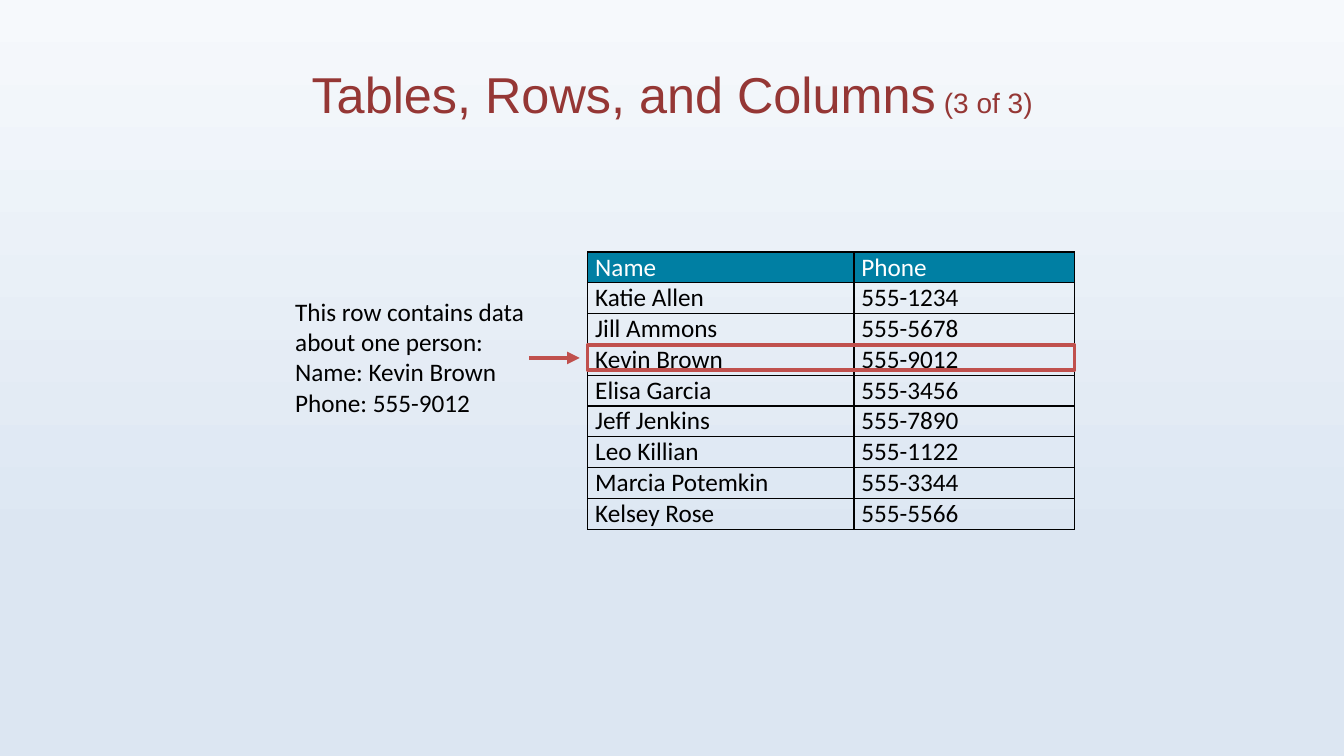
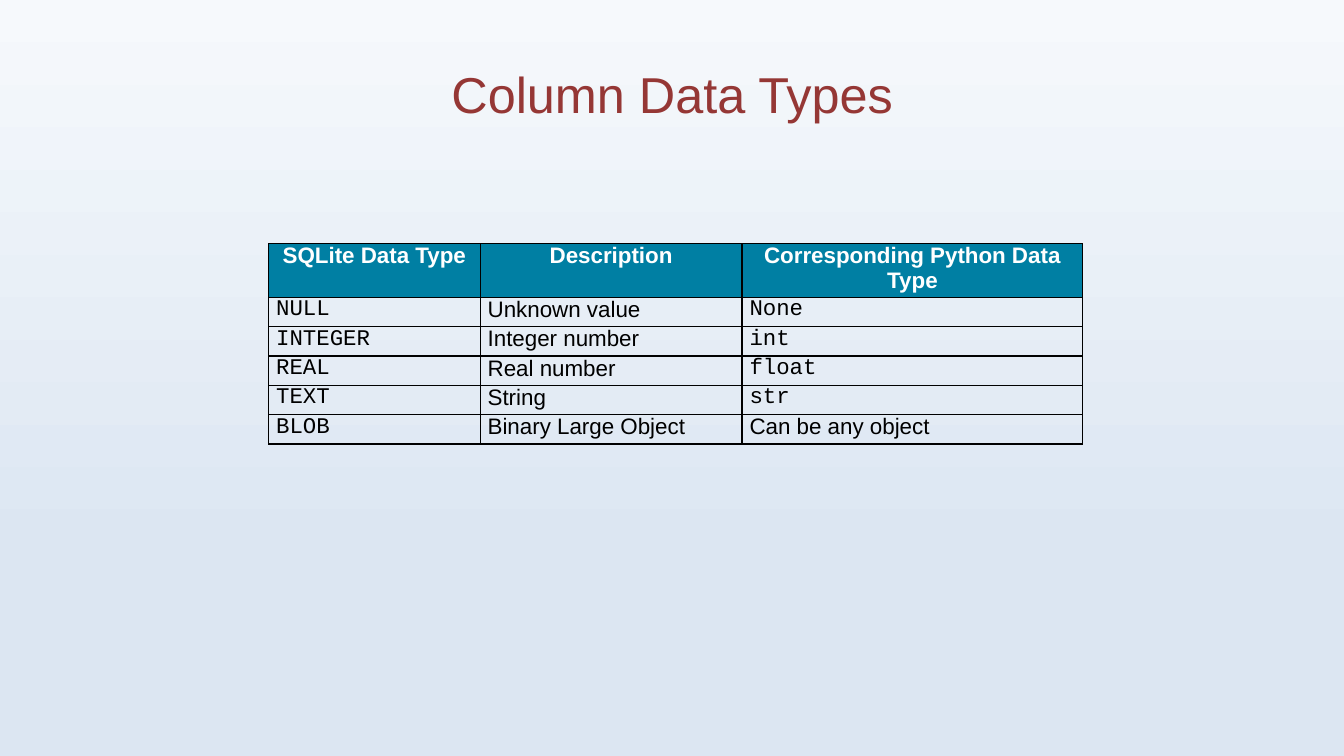
"""Build two slides that explain database tables and column data types."""
from dataclasses import dataclass

from pptx import Presentation
from pptx.dml.color import RGBColor
from pptx.enum.shapes import MSO_CONNECTOR, MSO_SHAPE
from pptx.enum.text import MSO_ANCHOR, MSO_AUTO_SIZE, PP_ALIGN
from pptx.oxml import parse_xml
from pptx.oxml.ns import nsdecls, qn
from pptx.oxml.xmlchemy import OxmlElement
from pptx.presentation import Presentation as Deck
from pptx.slide import Slide, SlideLayout
from pptx.table import _Cell
from pptx.text.text import _Paragraph
from pptx.util import Cm, Pt

COLORS = {
    "sky": "F6F9FC",
    "mist": "DCE6F2",
    "title": "953735",
    "header": "007FA3",
    "header_text": "FFFFFF",
    "text": "000000",
    "accent": "C0504D",
}
HEADING_FONT, BODY_FONT, CODE_FONT = "Arial", "Calibri", "Courier New"


@dataclass(frozen=True)
class TextStyle:
    """Look of a piece of text."""

    font: str
    size: float
    color: str = "text"
    bold: bool = False


@dataclass(frozen=True)
class Grid:
    """A bordered table with a filled header; lengths in centimetres."""

    left: float
    top: float
    column_widths: tuple[float, ...]
    header_height: float
    row_height: float
    header_style: TextStyle
    header_align: PP_ALIGN
    column_styles: tuple[TextStyle, ...]
    rows: tuple[tuple[str, ...], ...]
    prose: tuple[str, ...] = ()
    prose_style: TextStyle = TextStyle(HEADING_FONT, 16)


def rgb(name: str) -> RGBColor:
    """Look up a colour by its role."""
    return RGBColor.from_string(COLORS[name])


def format_runs(paragraph: _Paragraph, style: TextStyle) -> None:
    """Apply a style to every run of a paragraph."""
    for run in paragraph.runs:
        run.font.name = style.font
        run.font.size = Pt(style.size)
        run.font.bold = style.bold
        run.font.color.rgb = rgb(style.color)


def prepare_layout(deck: Deck) -> SlideLayout:
    """Set the shared background and title position."""
    backdrop = deck.slide_master.background.fill
    backdrop.gradient()
    backdrop.gradient_angle = 270
    for stop, position, name in zip(backdrop.gradient_stops, (0, 0.73), ("sky", "mist")):
        stop.position = position
        stop.color.rgb = rgb(name)
    layout = deck.slide_layouts.get_by_name("Title Only")
    heading = layout.placeholders[0]
    heading.left, heading.top = Cm(1.7), Cm(0.76)
    heading.width, heading.height = Cm(30.48), Cm(3.18)
    heading.text_frame.vertical_anchor = MSO_ANCHOR.MIDDLE
    return layout


def add_titled_slide(deck: Deck, layout: SlideLayout, title: str, counter: str = "") -> Slide:
    """Add a slide with a title and an optional smaller counter."""
    slide = deck.slides.add_slide(layout)
    heading = slide.shapes.title.text_frame.paragraphs[0]
    heading.text = title
    heading.alignment = PP_ALIGN.CENTER
    if counter:
        heading.add_run().text = counter
    format_runs(heading, TextStyle(HEADING_FONT, 36, "title"))
    if counter:
        heading.runs[-1].font.size = Pt(20)
    return slide


def outline_cell(cell: _Cell) -> None:
    """Give a cell a thin border on all four sides."""
    properties = cell._tc.get_or_add_tcPr()
    for index, side in enumerate("LRTB"):
        border = parse_xml(
            f'<a:ln{side} {nsdecls("a")} w="{Pt(1)}"><a:solidFill>'
            f'<a:srgbClr val="{COLORS["text"]}"/></a:solidFill></a:ln{side}>'
        )
        properties.insert(index, border)


def add_grid(slide: Slide, grid: Grid) -> None:
    """Draw a table from its description."""
    body_count = len(grid.rows) - 1
    table = slide.shapes.add_table(
        len(grid.rows), len(grid.column_widths), Cm(grid.left), Cm(grid.top),
        Cm(sum(grid.column_widths)), Cm(grid.header_height + body_count * grid.row_height),
    ).table
    table.first_row = table.horz_banding = False
    for column, width in zip(table.columns, grid.column_widths):
        column.width = Cm(width)
    for row_index, texts in enumerate(grid.rows):
        is_header = row_index == 0
        table.rows[row_index].height = Cm(grid.header_height if is_header else grid.row_height)
        for column_index, text in enumerate(texts):
            cell = table.cell(row_index, column_index)
            cell.margin_left = cell.margin_right = Cm(0.19)
            cell.margin_top = cell.margin_bottom = 0
            paragraph = cell.text_frame.paragraphs[0]
            paragraph.text = text
            if is_header:
                cell.fill.solid()
                cell.fill.fore_color.rgb = rgb("header")
                paragraph.alignment = grid.header_align
                style = grid.header_style
            else:
                cell.fill.background()
                style = grid.prose_style if text in grid.prose else grid.column_styles[column_index]
            format_runs(paragraph, style)
            outline_cell(cell)


def add_caption(slide: Slide, lines: tuple[str, ...], style: TextStyle) -> None:
    """Write the explanation beside the table."""
    frame = slide.shapes.add_textbox(Cm(7.19), Cm(7.34), Cm(6.99), Cm(3.33)).text_frame
    frame.word_wrap = True
    frame.auto_size = MSO_AUTO_SIZE.SHAPE_TO_FIT_TEXT
    frame.text = "\n".join(lines)
    for paragraph in frame.paragraphs:
        format_runs(paragraph, style)


def add_pointer(slide: Slide, start: float, end: float, height: float) -> None:
    """Draw a horizontal arrow towards the table."""
    pointer = slide.shapes.add_connector(
        MSO_CONNECTOR.STRAIGHT, Cm(start), Cm(height), Cm(end), Cm(height)
    )
    pointer.line.color.rgb = rgb("accent")
    pointer.line.width = Pt(3)
    properties = pointer.element.spPr
    arrowhead = OxmlElement("a:tailEnd")
    arrowhead.set("type", "triangle")
    properties.find(qn("a:ln")).append(arrowhead)
    properties.append(OxmlElement("a:effectLst"))


def add_row_highlight(slide: Slide, grid: Grid, top: float) -> None:
    """Frame one row across the width of the table."""
    highlight = slide.shapes.add_shape(
        MSO_SHAPE.RECTANGLE, Cm(grid.left), Cm(top), Cm(sum(grid.column_widths)), Cm(0.64)
    )
    highlight.shadow.inherit = False
    highlight.fill.background()
    highlight.line.color.rgb = rgb("accent")
    highlight.line.width = Pt(2.5)


BODY = TextStyle(BODY_FONT, 18)
CODE = TextStyle(CODE_FONT, 16)
PROSE = TextStyle(HEADING_FONT, 16)

CONTACTS = Grid(
    left=14.81,
    top=6.35,
    column_widths=(6.71, 5.56),
    header_height=0.76,
    row_height=0.76,
    header_style=TextStyle(BODY_FONT, 18, "header_text"),
    header_align=PP_ALIGN.LEFT,
    column_styles=(BODY, BODY),
    rows=(
        ("Name", "Phone"),
        ("Katie Allen", "555-1234"),
        ("Jill Ammons", "555-5678"),
        ("Kevin Brown", "555-9012"),
        ("Elisa Garcia", "555-3456"),
        ("Jeff Jenkins", "555-7890"),
        ("Leo Killian", "555-1122"),
        ("Marcia Potemkin", "555-3344"),
        ("Kelsey Rose", "555-5566"),
    ),
)

DATA_TYPES = Grid(
    left=6.77,
    top=6.14,
    column_widths=(5.33, 6.6, 8.59),
    header_height=1.35,
    row_height=0.74,
    header_style=TextStyle(HEADING_FONT, 16, "header_text", True),
    header_align=PP_ALIGN.CENTER,
    column_styles=(CODE, PROSE, CODE),
    rows=(
        ("SQLite Data Type", "Description", "Corresponding Python Data Type"),
        ("NULL", "Unknown value", "None"),
        ("INTEGER", "Integer number", "int"),
        ("REAL", "Real number", "float"),
        ("TEXT", "String", "str"),
        ("BLOB", "Binary Large Object", "Can be any object"),
    ),
    prose=("Can be any object",),
)


def main() -> None:
    """Build and save the deck."""
    deck = Presentation()
    deck.slide_width, deck.slide_height = Cm(33.87), Cm(19.05)
    layout = prepare_layout(deck)

    contacts_slide = add_titled_slide(deck, layout, "Tables, Rows, and Columns", " (3 of 3)")
    add_grid(contacts_slide, CONTACTS)
    add_pointer(contacts_slide, 13.34, 14.61, 9.02)
    add_caption(
        contacts_slide,
        ("This row contains data about one person:", "Name: Kevin Brown", "Phone: 555-9012"),
        BODY,
    )
    add_row_highlight(contacts_slide, CONTACTS, 8.69)

    types_slide = add_titled_slide(deck, layout, "Column Data Types")
    add_grid(types_slide, DATA_TYPES)

    deck.save("out.pptx")


main()
